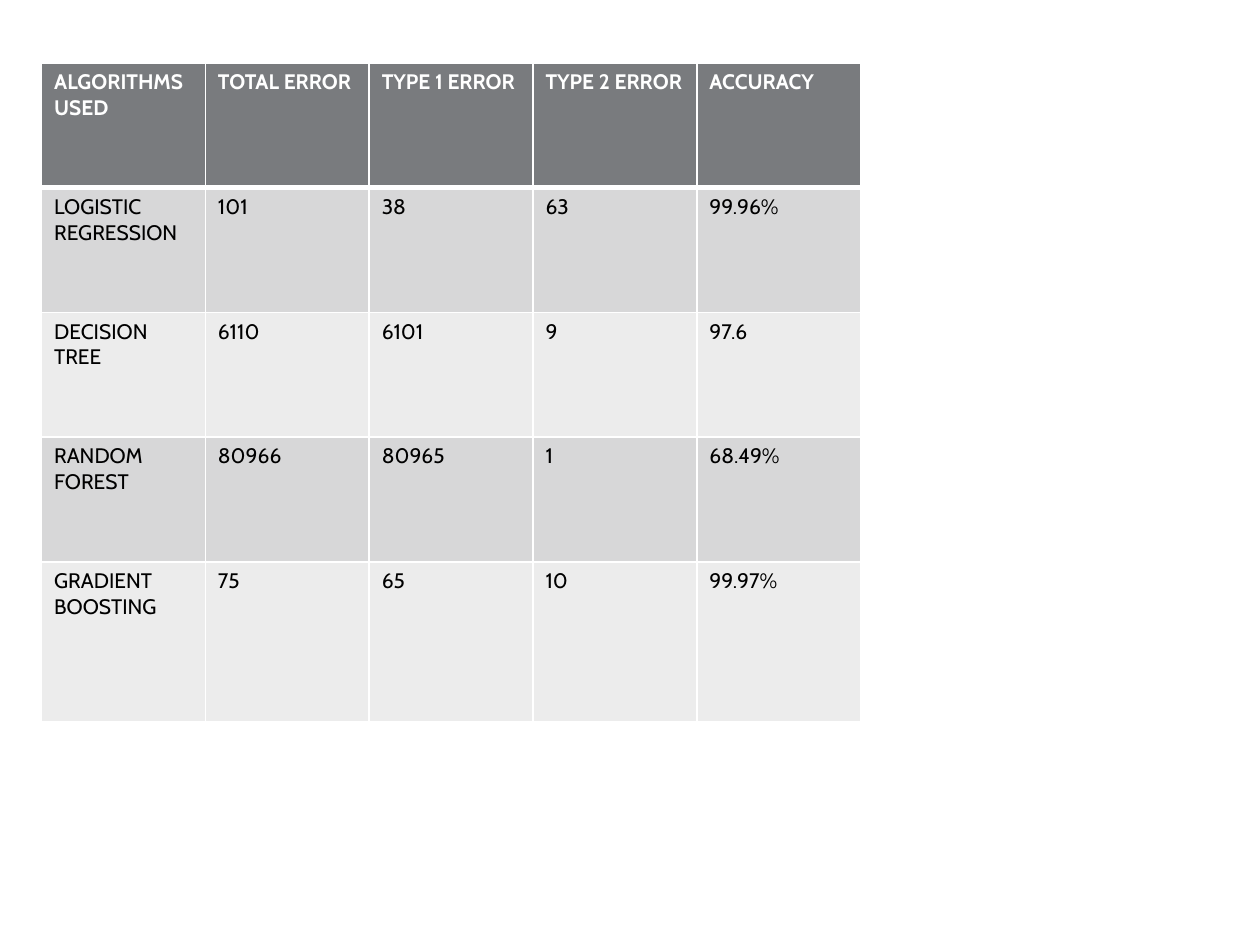
import pptx
import pptx.dml.color
import pptx.oxml
import pptx.oxml.ns
import pptx.util
from pptx.util import Inches

# Content
HEADINGS = ["ALGORITHMS USED", "TOTAL ERROR", "TYPE 1 ERROR", "TYPE 2 ERROR", "ACCURACY"]
RESULTS = [
    ["LOGISTIC REGRESSION", "101", "38", "63", "99.96%"],
    ["DECISION TREE", "6110", "6101", "9", "97.6"],
    ["RANDOM FOREST", "80966", "80965", "1", "68.49%"],
    ["GRADIENT BOOSTING", "75", "65", "10", "99.97%"],
]

# Layout and colours
LEFT, TOP = 0.33, 0.5
COLUMN_WIDTH = 1.3
ROW_HEIGHTS = [0.99] * len(RESULTS) + [1.27]
HEADING_FILL = "797B7E"
BAND_FILLS = ["D7D7D8", "ECECEC"]
WHITE, BLACK = "FFFFFF", "000000"


def rgb(value):
    return pptx.dml.color.RGBColor.from_string(value)


def write(cell, text, color=BLACK, bold=False, size=12, font="Cabin"):
    run = cell.text_frame.paragraphs[0].add_run()
    run.text = text
    run.font.name = font
    run.font.size = pptx.util.Pt(size)
    run.font.bold = bold
    run.font.color.rgb = rgb(color)


def set_borders(cell, top=1, bottom=1):
    properties = cell._tc.get_or_add_tcPr()
    for side, width in [("L", 1), ("R", 1), ("T", top), ("B", bottom)]:
        properties.append(pptx.oxml.parse_xml(
            f'<a:ln{side} {pptx.oxml.ns.nsdecls("a")} w="{pptx.util.Pt(width)}">'
            f'<a:solidFill><a:srgbClr val="{WHITE}"/></a:solidFill></a:ln{side}>'))


def set_fill(cell, color):
    cell.fill.solid()
    cell.fill.fore_color.rgb = rgb(color)


def main():
    deck = pptx.Presentation()
    deck.slide_width, deck.slide_height = Inches(10), Inches(7.5)
    slide = deck.slides.add_slide(deck.slide_layouts[6])

    # Comparison table
    rows = [HEADINGS] + RESULTS
    comparison = slide.shapes.add_table(
        len(rows), len(HEADINGS), Inches(LEFT), Inches(TOP),
        Inches(COLUMN_WIDTH * len(HEADINGS)), Inches(sum(ROW_HEIGHTS))).table
    for column in comparison.columns:
        column.width = Inches(COLUMN_WIDTH)

    # Cells: a dark heading row with a thick rule below, then banded rows
    for r, (texts, height) in enumerate(zip(rows, ROW_HEIGHTS)):
        comparison.rows[r].height = Inches(height)
        heading = r == 0
        fill = HEADING_FILL if heading else BAND_FILLS[(r - 1) % 2]
        for c, text in enumerate(texts):
            cell = comparison.cell(r, c)
            set_borders(cell, top=3 if r == 1 else 1, bottom=3 if heading else 1)
            set_fill(cell, fill)
            write(cell, text, color=WHITE if heading else BLACK, bold=heading)

    deck.save("out.pptx")


if __name__ == "__main__":
    main()
